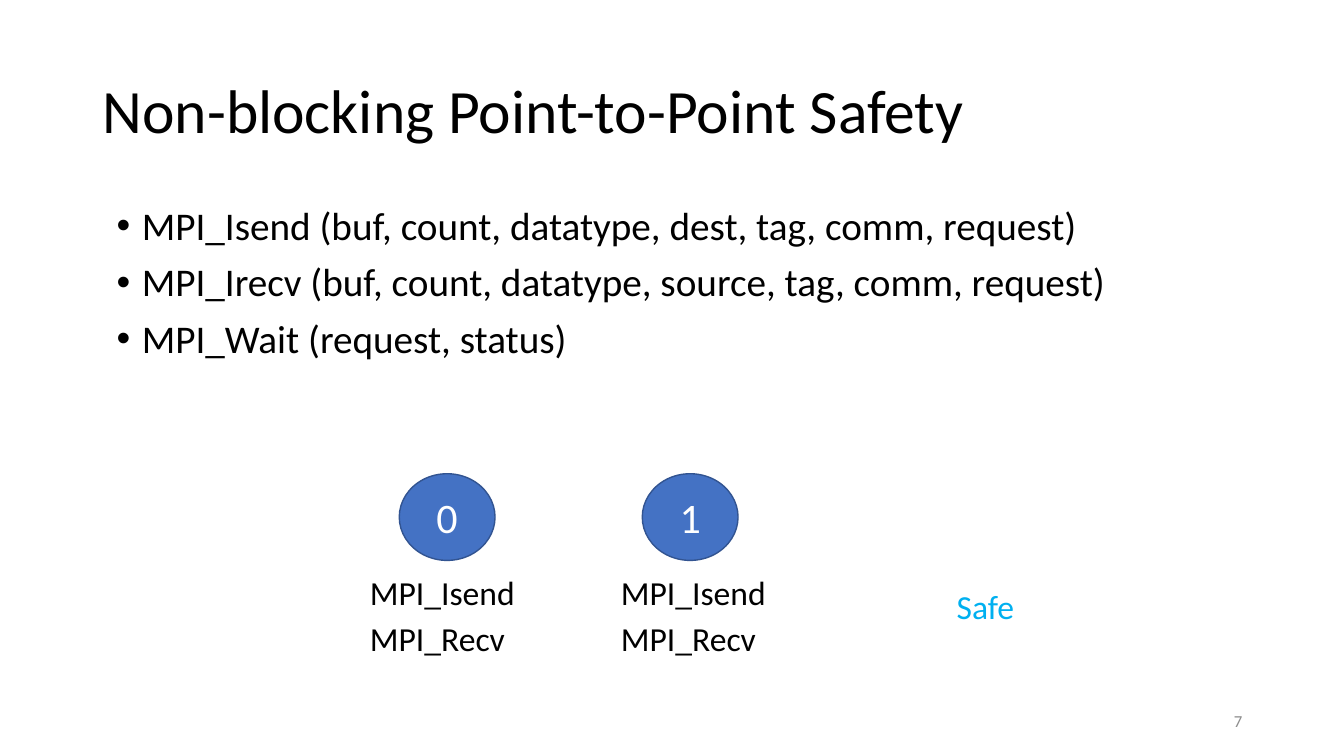
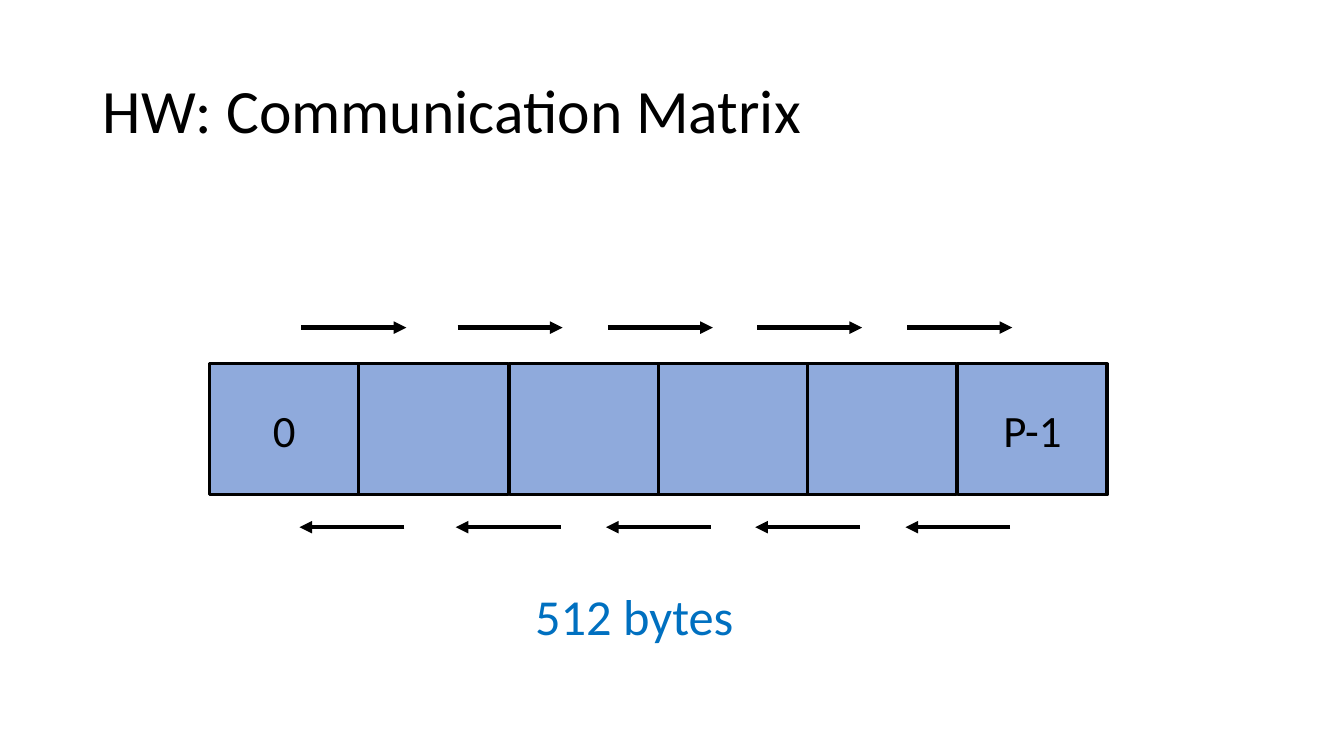
from lxml import etree
from pptx import Presentation
from pptx import util as u
from pptx.dml.color import RGBColor
from pptx.enum import shapes, text
from pptx.oxml.ns import qn

PX = 9144  # EMU per px, 100 px to the inch
FONT = "Calibri"
BLACK, WHITE, GREY = "000000", "FFFFFF", "8C8C8C"
BLUE, DARK_BLUE, PALE_BLUE = "4472C4", "325491", "8FAADC"
SAFE_BLUE, SIZE_BLUE = "00B0F0", "0070C0"
CENTER, RIGHT = text.PP_ALIGN.CENTER, text.PP_ALIGN.RIGHT
MIDDLE = text.MSO_ANCHOR.MIDDLE
TITLE_FORMAT = {"line_spacing": 0.9}
BULLET_FORMAT = {"line_spacing": 0.9, "space_before": u.Pt(10)}


def px(*lengths):
    return [length * PX for length in lengths]


def rgb(color):
    return RGBColor.from_string(color)


def write(frame, lines, size, color, para_format):
    for index, line in enumerate(lines):
        para = frame.add_paragraph() if index else frame.paragraphs[0]
        for name, value in para_format.items():
            setattr(para, name, value)
        span = para.add_run()
        span.text = line
        for name, value in {"name": FONT, "size": u.Pt(size)}.items():
            setattr(span.font, name, value)
        span.font.color.rgb = rgb(color)


def add_text(page, bounds, lines, size, color=BLACK, wrap=True, anchor=text.MSO_ANCHOR.TOP,
             para_format=None):
    box = page.shapes.add_textbox(*px(*bounds))
    frame = box.text_frame
    for name, value in {"word_wrap": wrap, "vertical_anchor": anchor}.items():
        setattr(frame, name, value)
    write(frame, lines, size, color, para_format or {})
    return box


def add_bullets(page, bounds, lines, size):
    box = add_text(page, bounds, lines, size, para_format=BULLET_FORMAT)
    indent = 25 * PX
    for para in box.text_frame.paragraphs:
        properties = para._p.get_or_add_pPr()
        properties.set("marL", str(indent))
        properties.set("indent", str(-indent))
        etree.SubElement(properties, qn("a:buFont"), typeface="Arial")
        etree.SubElement(properties, qn("a:buChar"), char="•")


def add_node(page, kind, bounds, label, size, fill, line, line_width, color):
    """Add a filled, outlined shape with an optional centred label."""
    node = page.shapes.add_shape(kind, *px(*bounds))
    node.shadow.inherit = False
    node.fill.solid()
    node.fill.fore_color.rgb = rgb(fill)
    node.line.color.rgb = rgb(line)
    node.line.width = u.Pt(line_width)
    if label:
        node.text_frame.vertical_anchor = MIDDLE
        write(node.text_frame, [label], size, color, {"alignment": CENTER})


def add_arrow(page, start, end, y):
    arrow = page.shapes.add_connector(shapes.MSO_CONNECTOR.STRAIGHT, *px(start, y, end, y))
    arrow.line.color.rgb = rgb(BLACK)
    arrow.line.width = u.Pt(3)
    etree.SubElement(arrow.line._get_or_add_ln(), qn("a:tailEnd"), type="triangle")
    etree.SubElement(arrow._element.spPr, qn("a:effectLst"))


def add_page(deck, title):
    page = deck.slides.add_slide(deck.slide_layouts[6])
    add_text(page, (92, 40, 1150, 145), [title], 44, anchor=MIDDLE, para_format=TITLE_FORMAT)
    return page


def build_safety(deck):
    page = add_page(deck, "Non-blocking Point-to-Point Safety")
    add_bullets(page, (106, 200, 1080, 249), [
        "MPI_Isend (buf, count, datatype, dest, tag, comm, request)",
        "MPI_Irecv (buf, count, datatype, source, tag, comm, request)",
        "MPI_Wait (request, status)",
    ], 28)
    for rank, (circle_left, calls_left) in enumerate([(396, 357), (637, 606)]):
        add_node(page, shapes.MSO_SHAPE.OVAL, (circle_left, 470, 95, 86), str(rank), 30,
                 BLUE, DARK_BLUE, 1, WHITE)
        for row, call in enumerate(["MPI_Isend", "MPI_Recv"]):
            add_text(page, (calls_left, 562 + 46 * row, 165, 50), [call], 24, wrap=False)
    add_text(page, (939, 576, 78, 50), ["Safe"], 24, SAFE_BLUE, wrap=False)
    add_text(page, (942, 695, 300, 40), ["7"], 12, GREY, anchor=MIDDLE,
             para_format={"alignment": RIGHT})


def build_matrix(deck):
    page = add_page(deck, "HW: Communication Matrix")
    labels = ["0", "", "", "", "", "P-1"]
    strip_left, strip_width = 208, 890
    for index, label in enumerate(labels):
        left = strip_left + round(index * strip_width / len(labels))
        add_node(page, shapes.MSO_SHAPE.RECTANGLE, (left, 361, 148, 130), label, 32,
                 PALE_BLUE, BLACK, 2.25, BLACK)
    arrow_length = 104
    for left in [299, 454, 603, 751, 900]:
        add_arrow(page, left, left + arrow_length, 325)
        add_arrow(page, left + arrow_length - 2, left - 2, 523)
    add_text(page, (521, 576, 667, 71), ["512 bytes"], 36, SIZE_BLUE)


def main():
    deck = Presentation()
    deck.slide_width, deck.slide_height = px(1333, 750)
    build_safety(deck)
    build_matrix(deck)
    deck.save("out.pptx")


if __name__ == "__main__":
    main()
